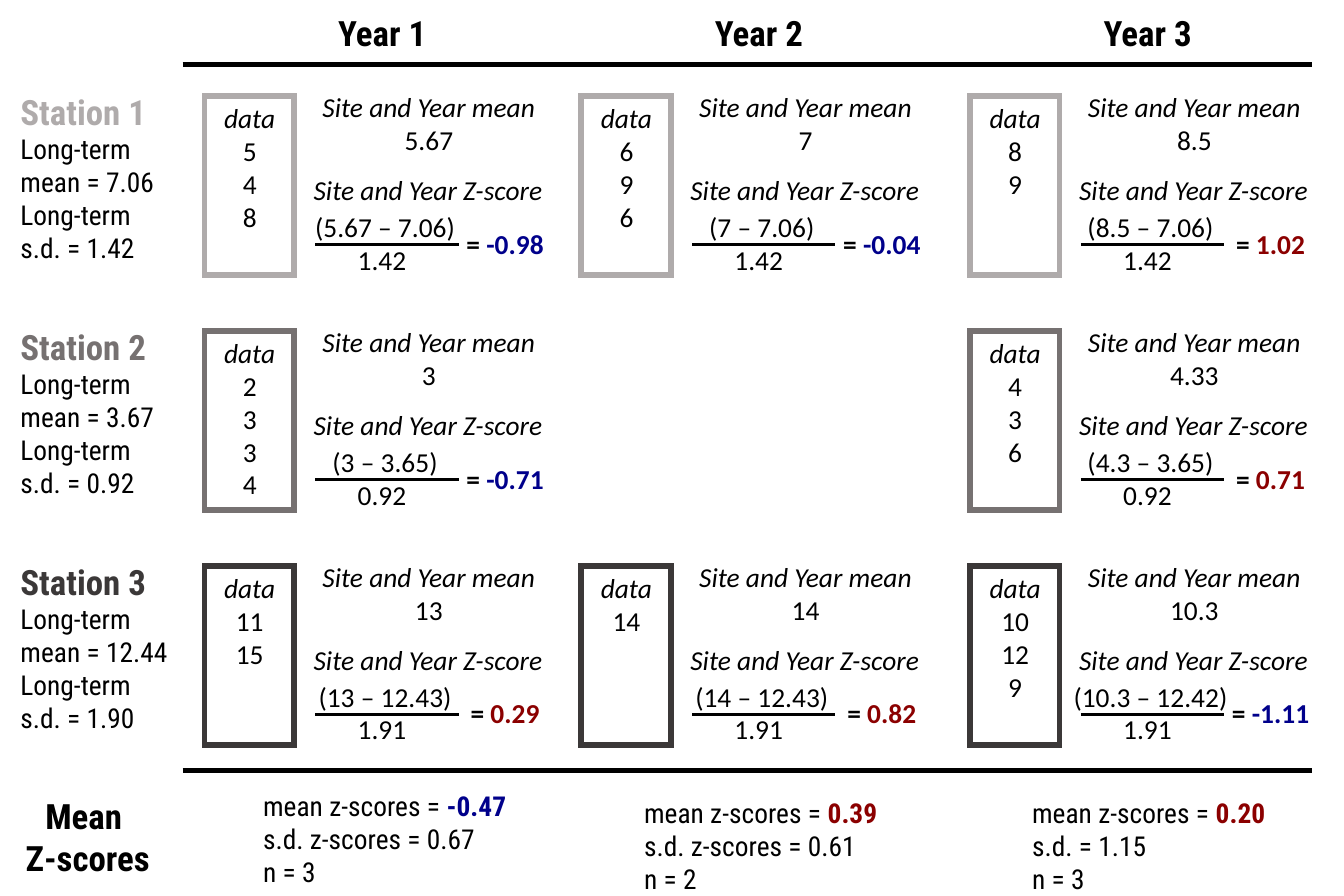
from pptx import Presentation
from pptx.dml.color import RGBColor
from pptx.enum.shapes import MSO_CONNECTOR, MSO_SHAPE
from pptx.enum.text import MSO_AUTO_SIZE, PP_ALIGN
from pptx.oxml.ns import qn
from pptx.util import Cm, Pt
from lxml import etree

LEFT, CENTER = PP_ALIGN.LEFT, PP_ALIGN.CENTER
STRAIGHT = MSO_CONNECTOR.STRAIGHT
RECTANGLE = MSO_SHAPE.RECTANGLE
FIT_SHAPE = MSO_AUTO_SIZE.SHAPE_TO_FIT_TEXT

COLORS = {
    "text": "000000",
    "negative": "00008B",
    "positive": "8B0000",
    "Station 1": "AFABAB",
    "Station 2": "767171",
    "Station 3": "3B3838",
}
HEADING_FONT, BODY_FONT = "Roboto Condensed", "Calibri"
YEAR_LEFTS = [2.9, 8.24, 13.75]
FIRST_ROW, ROW_STEP = 1.16, 3.33

stations = [
    ("Station 1", 2.41, "7.06", "1.42", "1.42", [
        ("5 4 8", "5.67", "5.67 – 7.06", "-0.98"),
        ("6 9 6", "7", "7 – 7.06", "-0.04"),
        ("8 9", "8.5", "8.5 – 7.06", "1.02")]),
    ("Station 2", 2.41, "3.67", "0.92", "0.92", [
        ("2 3 3 4", "3", "3 – 3.65", "-0.71"),
        None,
        ("4 3 6", "4.33", "4.3 – 3.65", "0.71")]),
    ("Station 3", 2.59, "12.44", "1.90", "1.91", [
        ("11 15", "13", "13 – 12.43", "0.29"),
        ("14", "14", "14 – 12.43", "0.82"),
        ("10 12 9", "10.3", "10.3 – 12.42", "-1.11")]),
]
summaries = [
    (3.48, 11.06, 3.99, "-0.47", "s.d. z-scores = 0.67", "n = 3"),
    (8.88, 11.16, 3.84, "0.39", "s.d. z-scores = 0.61", "n = 2"),
    (14.38, 11.16, 3.84, "0.20", "s.d. = 1.15", "n = 3"),
]


def add_text(shapes, left, top, width, height, lines, font=BODY_FONT, size=11,
             bold=False, align=CENTER, score=None):
    frame = shapes.add_textbox(Cm(left), Cm(top), Cm(width), Cm(height)).text_frame
    frame.word_wrap = False
    frame.auto_size = FIT_SHAPE
    frame.text = "\n".join(lines)
    if score:
        frame.paragraphs[0].add_run().text = score
    for paragraph in frame.paragraphs:
        paragraph.alignment = align
        for run in paragraph.runs:
            run.font.name = font
            run.font.size = Pt(size)
            run.font.bold = bold
            run.font.color.rgb = RGBColor.from_string(COLORS["text"])
    if score:
        score_font = frame.paragraphs[0].runs[-1].font
        score_font.bold = True
        sign = "negative" if score.startswith("-") else "positive"
        score_font.color.rgb = RGBColor.from_string(COLORS[sign])
    return frame.paragraphs[0].runs[0].font


def add_rule(shapes, left, right, y, weight):
    rule = shapes.add_connector(STRAIGHT, Cm(left), Cm(y), Cm(right), Cm(y))
    rule.line.color.rgb = RGBColor.from_string(COLORS["text"])
    rule.line.width = Pt(weight)
    etree.SubElement(rule._element.spPr, qn("a:effectLst"))


prs = Presentation()
prs.slide_width, prs.slide_height = Cm(19.05), Cm(12.7)
slide = prs.slides.add_slide(prs.slide_layouts[6])

for number, left in enumerate(YEAR_LEFTS, 1):
    add_text(slide.shapes, left + 1.62, 0.04, 1.8, 0.86, [f"Year {number}"],
             HEADING_FONT, 14, True)

for y in (0.91, 10.92):
    add_rule(slide.shapes, 2.59, 18.59, y, 2)

for row, (station, width, mean, deviation, divisor, years) in enumerate(stations):
    top = FIRST_ROW + row * ROW_STEP
    station_color = RGBColor.from_string(COLORS[station])
    long_term = [station, f"Long-term\vmean = {mean}", "Long-term", f"s.d. = {deviation}"]
    station_font = add_text(slide.shapes, 0.04, top, width, 2.74, long_term,
                            HEADING_FONT, align=LEFT)
    station_font.size = Pt(14)
    station_font.bold = True
    station_font.color.rgb = station_color

    group = slide.shapes.add_group_shape().shapes
    for left, year in zip(YEAR_LEFTS, years):
        if year is None:
            continue
        data, year_mean, difference, z_score = year
        values = data.split()
        add_text(group, left + 0.02, top + 0.15, 1.24, 0.7 + 0.47 * len(values),
                 ["data", *values]).italic = True
        data_box = group.add_shape(RECTANGLE, Cm(left), Cm(top + 0.2), Cm(1.27), Cm(2.54))
        data_box.shadow.inherit = False
        data_box.fill.background()
        data_box.line.color.rgb = station_color
        data_box.line.width = Pt(2.25)
        outline = data_box._element.spPr.find(qn("a:ln"))
        etree.SubElement(outline, qn("a:miter"), lim="800000")
        add_text(group, left + 1.35, top, 3.66, 1.19,
                 ["Site and Year mean", year_mean]).italic = True
        add_text(group, left + 3.26, top + 1.93, 2, 0.74, ["= "], bold=True, score=z_score)
        add_text(group, left + 1.06, top + 1.69, 3, 1.19, [f"({difference})\v{divisor} "])
        add_rule(group, left + 1.57, left + 3.6, top + 2.31, 1.25)
        add_text(group, left + 1.17, top + 1.17, 4, 0.74,
                 ["Site and Year Z-score"]).italic = True

add_text(slide.shapes, 0.1, 11.14, 2.29, 1.45, ["Mean ", "Z-scores"], HEADING_FONT, 14, True)
for left, top, width, mean_score, deviation, count in summaries:
    add_text(slide.shapes, left, top, width, 1.68, ["mean z-scores = ", deviation, count],
             HEADING_FONT, align=LEFT, score=mean_score)

prs.save("out.pptx")
